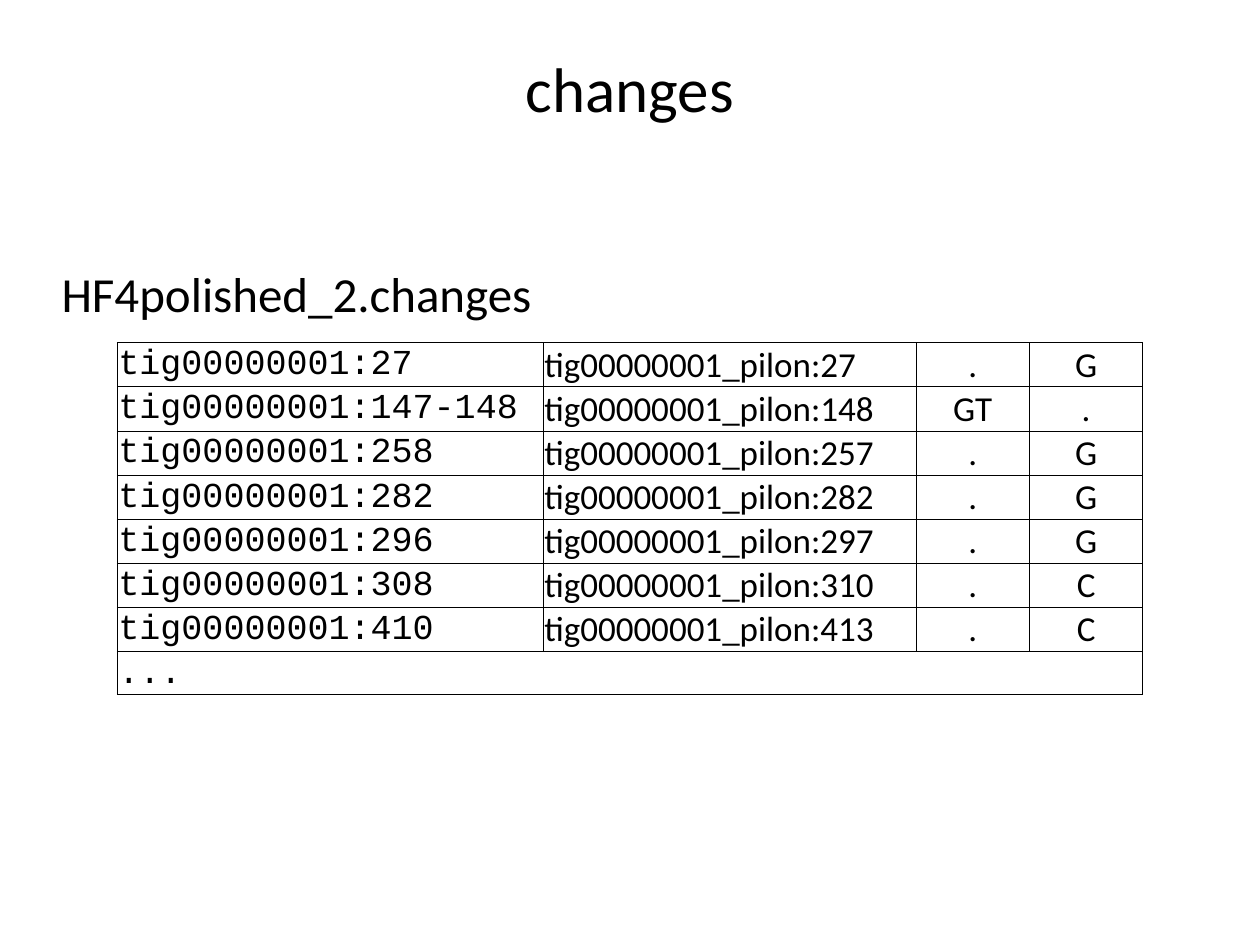
"""Build a slide that tabulates polishing changes between two assemblies."""
from dataclasses import dataclass

from lxml import etree
from pptx import Presentation
from pptx.dml.color import RGBColor
from pptx.enum.text import MSO_ANCHOR, PP_ALIGN
from pptx.oxml.ns import qn
from pptx.util import Inches, Pt

LEFT, CENTER = PP_ALIGN.LEFT, PP_ALIGN.CENTER
TOP, MIDDLE, BOTTOM = MSO_ANCHOR.TOP, MSO_ANCHOR.MIDDLE, MSO_ANCHOR.BOTTOM
BLANK_LAYOUT = 6

CHANGES = [
    ("27", "27", ".", "G"),
    ("147-148", "148", "GT", "."),
    ("258", "257", ".", "G"),
    ("282", "282", ".", "G"),
    ("296", "297", ".", "G"),
    ("308", "310", ".", "C"),
    ("410", "413", ".", "C"),
]
COLUMN_WIDTHS = [3.38, 2.96, 0.9, 0.9]
ROW_HEIGHT = 0.35
LAST_ROW_HEIGHT = 0.29


@dataclass(frozen=True)
class Theme:
    text: str = "000000"
    body_font: str = "Calibri"
    code_font: str = "Courier New"
    title_size: int = 36
    heading_size: int = 28
    table_size: int = 20
    border_width: float = 0.5
    cell_inset: float = 0.01


class SlideBuilder:
    def __init__(self, slide, theme):
        self.slide = slide
        self.theme = theme

    def style(self, paragraph, size, font_name, alignment):
        paragraph.alignment = alignment
        font = paragraph.font
        font.size = Pt(size)
        font.name = font_name
        font.color.rgb = RGBColor.from_string(self.theme.text)

    def text(self, text, box, size, alignment=LEFT, anchor=TOP):
        frame = self.slide.shapes.add_textbox(*map(Inches, box)).text_frame
        frame.word_wrap = True
        frame.vertical_anchor = anchor
        paragraph = frame.paragraphs[0]
        paragraph.text = text
        self.style(paragraph, size, self.theme.body_font, alignment)

    def borders(self, cell, visible_sides):
        properties = cell._tc.get_or_add_tcPr()
        for index, side in enumerate("LRTB"):
            line = etree.Element(qn(f"a:ln{side}"), w=str(Pt(self.theme.border_width)))
            if side in visible_sides:
                fill = etree.SubElement(line, qn("a:solidFill"))
                etree.SubElement(fill, qn("a:srgbClr"), val=self.theme.text)
            else:
                etree.SubElement(line, qn("a:noFill"))
            properties.insert(index, line)

    def cell(self, cell, text, column, visible_sides):
        inset = Inches(self.theme.cell_inset)
        cell.margin_left = cell.margin_right = cell.margin_top = inset
        cell.margin_bottom = 0
        cell.vertical_anchor = BOTTOM if column else MIDDLE
        cell.fill.background()
        self.borders(cell, visible_sides)
        if text:
            paragraph = cell.text_frame.paragraphs[0]
            paragraph.text = text
            font_name = self.theme.body_font if column else self.theme.code_font
            alignment = CENTER if column > 1 else LEFT
            self.style(paragraph, self.theme.table_size, font_name, alignment)

    def table(self, rows, left, top, widths, heights):
        box = (left, top, sum(widths), sum(heights))
        table = self.slide.shapes.add_table(
            len(rows), len(widths), *map(Inches, box)
        ).table
        table.first_row = table.horz_banding = False
        for column, width in zip(table.columns, widths):
            column.width = Inches(width)
        for row, height in zip(table.rows, heights):
            row.height = Inches(height)
        last_column = len(widths) - 1
        for row_index, values in enumerate(rows):
            for column, value in enumerate(values):
                sides = "LRTB"
                if row_index == len(rows) - 1:
                    sides = {0: "LTB", last_column: "RTB"}.get(column, "TB")
                self.cell(table.cell(row_index, column), value, column, sides)


def main():
    presentation = Presentation()
    presentation.slide_width = Inches(10)
    presentation.slide_height = Inches(7.5)
    slide = presentation.slides.add_slide(presentation.slide_layouts[BLANK_LAYOUT])
    theme = Theme()
    builder = SlideBuilder(slide, theme)

    builder.text("changes", (0.5, 0.27, 9, 0.85), theme.title_size, CENTER, MIDDLE)
    builder.text("HF4polished_2.changes", (0.39, 2.04, 9, 0.49), theme.heading_size)

    rows = [
        (f"tig00000001:{before}", f"tig00000001_pilon:{after}", old, new)
        for before, after, old, new in CHANGES
    ]
    rows.append(("...", "", "", ""))
    heights = [ROW_HEIGHT] * len(CHANGES) + [LAST_ROW_HEIGHT]
    builder.table(rows, 0.93, 2.72, COLUMN_WIDTHS, heights)

    presentation.save("out.pptx")


if __name__ == "__main__":
    main()
